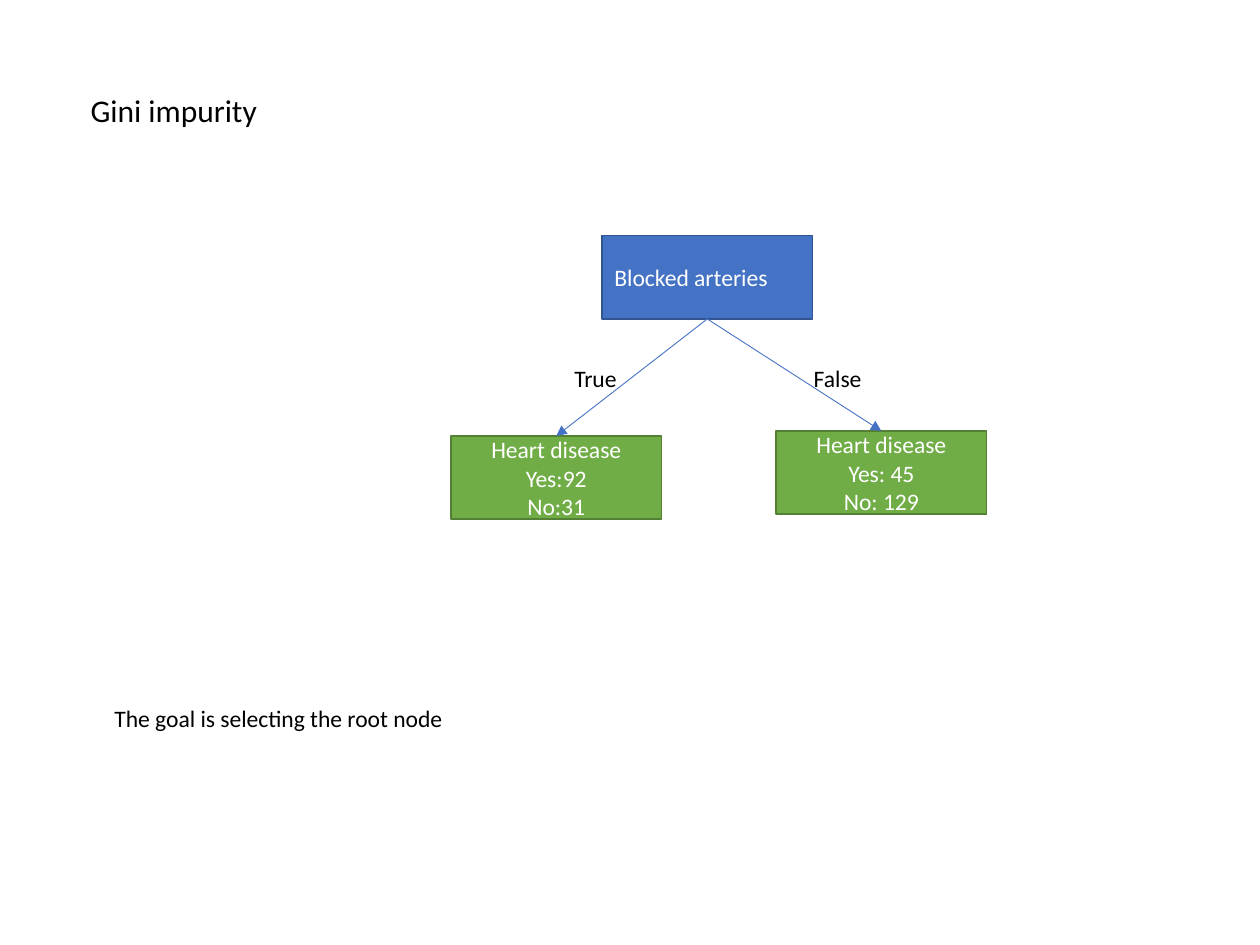
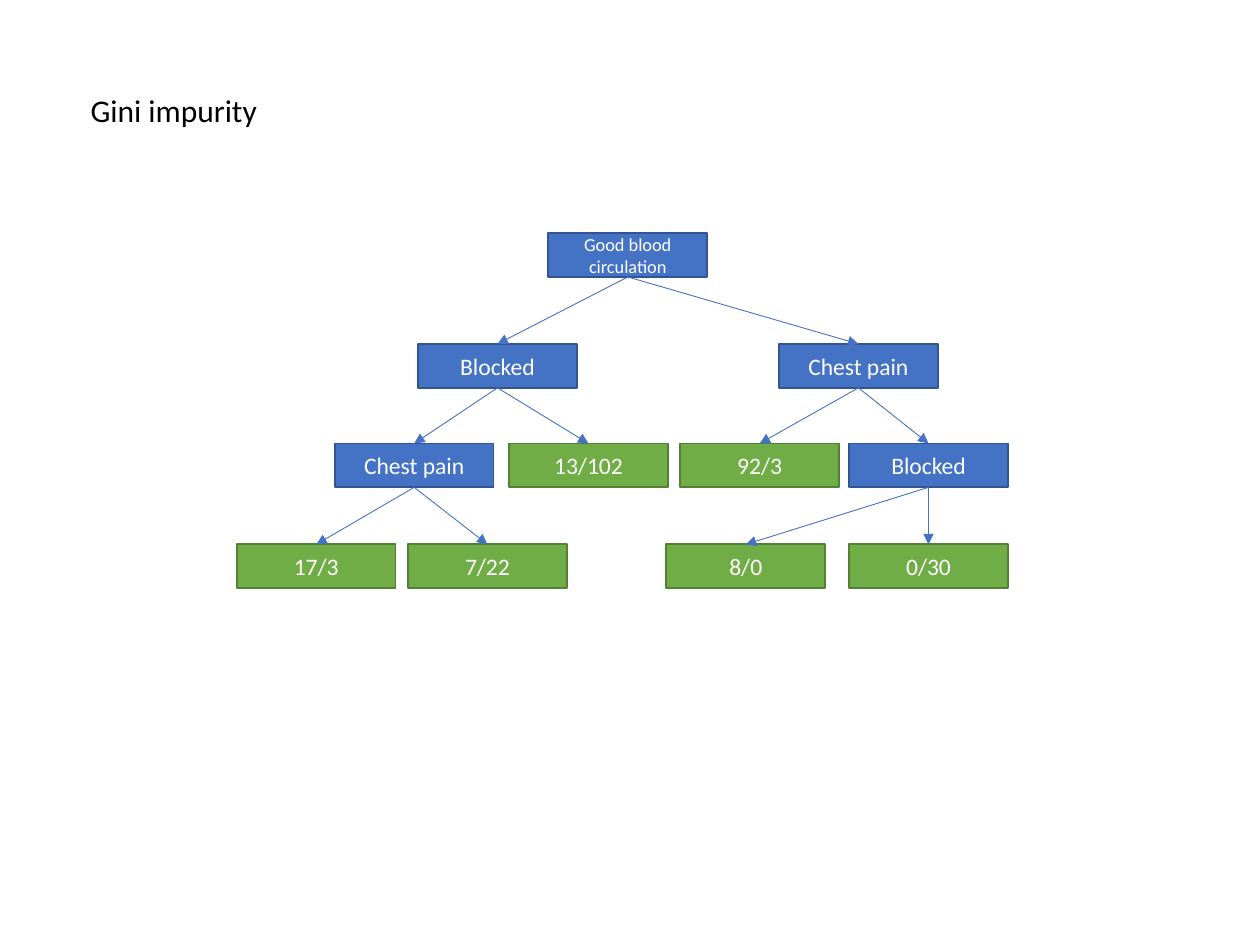
from collections import namedtuple

from lxml import etree
from pptx import Presentation
from pptx import util as u
from pptx.dml.color import RGBColor
from pptx.enum import shapes, text
from pptx.oxml.ns import qn

FONT = "Calibri"
BODY_SIZE, SMALL_SIZE, TITLE_SIZE = 13.5, 10.5, 18
BLACK, WHITE = "000000", "FFFFFF"
BLUE, DARK_BLUE = "4472C4", "325491"
GREEN, DARK_GREEN = "70AD47", "538035"

Box = namedtuple("Box", "left top width height")
# Left and top are percentages of the tree's box
Node = namedtuple("Node", "words left top children size align",
                  defaults=((), BODY_SIZE, text.PP_ALIGN.CENTER))

TITLE_BOX = Box(0.62, 0.67, 5.01, 0.4)
GOAL_BOX = Box(0.81, 5.54, 2.84, 0.33)
SPLIT_BOX = Box(3.58, 1.87, 4.25, 2.25)
FULL_BOX = Box(1.88, 1.85, 6.12, 2.83)
SPLIT_NODE = (39.3, 29.4)
FULL_NODE = (20.6, 12.3)

SPLIT_TREE = Node("Blocked arteries", 28.2, 0, (
    Node("Heart disease\nYes:92\nNo:31", 0, 70.7),
    Node("Heart disease\nYes: 45\nNo: 129", 60.7, 68.9),
), align=text.PP_ALIGN.LEFT)

ROWS = (0, 31.1, 59, 87.3)
FULL_TREE = Node("Good blood circulation", 40.4, ROWS[0], (
    Node("Blocked", 23.5, ROWS[1], (
        Node("Chest pain", 12.7, ROWS[2], (
            Node("17/3", 0, ROWS[3]),
            Node("7/22", 22.2, ROWS[3]),
        )),
        Node("13/102", 35.3, ROWS[2]),
    )),
    Node("Chest pain", 70.3, ROWS[1], (
        Node("92/3", 57.5, ROWS[2]),
        Node("Blocked", 79.4, ROWS[2], (
            Node("8/0", 55.7, ROWS[3]),
            Node("0/30", 79.4, ROWS[3]),
        )),
    )),
), size=SMALL_SIZE)


def color(hex_string):
    return RGBColor.from_string(hex_string)


def within(box, left, top, width, height):
    """Turn percentages of a box into a box on the slide."""
    return Box(box.left + box.width * left / 100, box.top + box.height * top / 100,
               box.width * width / 100, box.height * height / 100)


def inches(box):
    return [u.Inches(length) for length in box]


def write(frame, words, size, ink, align=text.PP_ALIGN.LEFT):
    frame.text = words
    for paragraph in frame.paragraphs:
        paragraph.alignment = align
        paragraph.font.name = FONT
        paragraph.font.size = u.Pt(size)
        paragraph.font.color.rgb = color(ink)


def add_label(slide, box, words, size=BODY_SIZE, wrap=False):
    frame = slide.shapes.add_textbox(*inches(box)).text_frame
    frame.word_wrap = wrap
    frame.auto_size = text.MSO_AUTO_SIZE.SHAPE_TO_FIT_TEXT
    write(frame, words, size, BLACK)


def add_node(slide, box, node):
    fill, edge = (BLUE, DARK_BLUE) if node.children else (GREEN, DARK_GREEN)
    rect = slide.shapes.add_shape(shapes.MSO_SHAPE.RECTANGLE, *inches(box))
    rect.shadow.inherit = False
    rect.fill.solid()
    rect.fill.fore_color.rgb = color(fill)
    rect.line.color.rgb = color(edge)
    rect.line.width = u.Pt(1)
    rect.text_frame.word_wrap = True
    rect.text_frame.vertical_anchor = text.MSO_ANCHOR.MIDDLE
    write(rect.text_frame, node.words, node.size, WHITE, node.align)
    return rect


def add_branch(slide, parent, child):
    branch = slide.shapes.add_connector(shapes.MSO_CONNECTOR.STRAIGHT, 0, 0, 0, 0)
    branch.begin_connect(parent, 2)
    branch.end_connect(child, 0)
    branch.line.color.rgb = color(BLUE)
    branch.line.width = u.Pt(0.5)
    # Arrowhead, and no shadow
    etree.SubElement(branch.line._get_or_add_ln(), qn("a:tailEnd"), type="triangle")
    etree.SubElement(branch._element.spPr, qn("a:effectLst"))


def add_tree(slide, box, node, node_size):
    """Draw a node and everything below it; nodes without children are leaves."""
    rect = add_node(slide, within(box, node.left, node.top, *node_size), node)
    for child in node.children:
        add_branch(slide, rect, add_tree(slide, box, child, node_size))
    return rect


def add_titled_slide(deck):
    slide = deck.slides.add_slide(deck.slide_layouts[6])
    add_label(slide, TITLE_BOX, "Gini impurity", TITLE_SIZE, wrap=True)
    return slide


def build_split_slide(deck):
    slide = add_titled_slide(deck)
    add_tree(slide, SPLIT_BOX, SPLIT_TREE, SPLIT_NODE)
    # Branch answers
    for answer, left, width in (("True", 20.7, 12.7), ("False", 65.4, 13.9)):
        add_label(slide, within(SPLIT_BOX, left, 43.1, width, 14.7), answer)
    add_label(slide, GOAL_BOX, "The goal is selecting the root node")


def build_full_tree_slide(deck):
    slide = add_titled_slide(deck)
    add_tree(slide, FULL_BOX, FULL_TREE, FULL_NODE)


def main():
    deck = Presentation()
    deck.slide_width, deck.slide_height = u.Inches(10), u.Inches(7.5)
    build_split_slide(deck)
    build_full_tree_slide(deck)
    deck.save("out.pptx")


if __name__ == "__main__":
    main()
